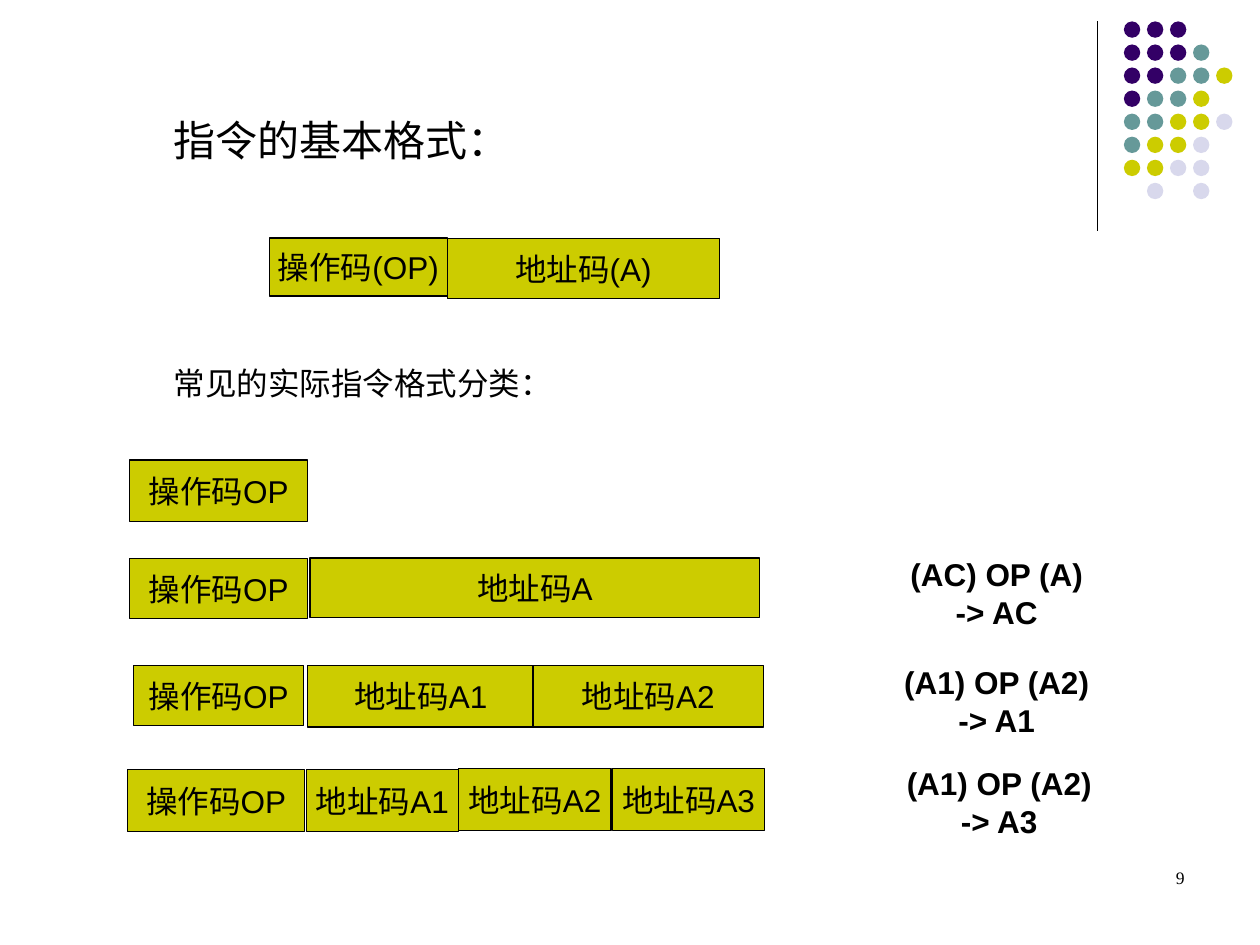
from pptx import Presentation
from pptx.dml.color import RGBColor
from pptx.enum import shapes, text
from pptx.oxml.ns import qn
from pptx.util import Inches, Pt
from lxml import etree

BLACK = RGBColor(0x00, 0x00, 0x00)
PURPLE = RGBColor(0x33, 0x00, 0x66)
TEAL = RGBColor(0x66, 0x99, 0x99)
OLIVE = RGBColor(0xCC, 0xCC, 0x00)
PALE = RGBColor(0xD8, 0xD8, 0xEC)

TONES = {"P": PURPLE, "T": TEAL, "O": OLIVE, "L": PALE}
DOTS = ["PPP", "PPPT", "PPTTO", "PTTO", "TTOOL", "TOOL", "OOLL", " L L"]
PITCH = 0.183

# Each row: cells of (text, left, top, width, height)
ROWS = [
    [("操作码(OP)", 2.14, 1.89, 1.41, 0.46), ("地址码(A)", 3.55, 1.89, 2.16, 0.48)],
    [("操作码OP", 1.03, 3.65, 1.41, 0.49)],
    [("操作码OP", 1.03, 4.43, 1.41, 0.48), ("地址码A", 2.46, 4.43, 3.57, 0.47)],
    [("操作码OP", 1.06, 5.28, 1.35, 0.48), ("地址码A1", 2.44, 5.28, 1.8, 0.49),
     ("地址码A2", 4.23, 5.28, 1.83, 0.49)],
    [("操作码OP", 1.01, 6.11, 1.41, 0.49), ("地址码A1", 2.43, 6.11, 1.21, 0.49),
     ("地址码A2", 3.64, 6.1, 1.21, 0.49), ("地址码A3", 4.86, 6.1, 1.21, 0.49)],
]
RULES = [
    ("(AC) OP (A) -> AC", 7, 4.52),
    ("(A1) OP (A2) -> A1", 7, 5.38),
    ("(A1) OP (A2) -> A3", 7.02, 6.18),
]


def write(shape, words, size=18, align=text.PP_ALIGN.LEFT, mid=False,
          wrap=False, bold=False, face="Arial"):
    frame = shape.text_frame
    frame.word_wrap = wrap
    frame.vertical_anchor = text.MSO_ANCHOR.MIDDLE if mid else text.MSO_ANCHOR.TOP
    para = frame.paragraphs[0]
    para.text = words
    para.alignment = align
    font = para.font
    font.size, font.name, font.bold = Pt(size), face, bold
    font.color.rgb = BLACK


def label(slide, words, x, y, w, h, **style):
    box = slide.shapes.add_textbox(Inches(x), Inches(y), Inches(w), Inches(h))
    write(box, words, **style)


def solid(slide, kind, x, y, w, h, fill):
    shape = slide.shapes.add_shape(kind, Inches(x), Inches(y), Inches(w), Inches(h))
    shape.shadow.inherit = False
    shape.fill.solid()
    shape.fill.fore_color.rgb = fill
    return shape


def cell(slide, words, x, y, w, h):
    box = solid(slide, shapes.MSO_SHAPE.RECTANGLE, x, y, w, h, OLIVE)
    box.line.color.rgb = BLACK
    box.line.width = Pt(0.75)
    write(box, words, align=text.PP_ALIGN.CENTER, mid=True)


def corner(slide):
    """Draw the vertical rule and the dot pattern at top right."""
    rule = slide.shapes.add_connector(
        shapes.MSO_CONNECTOR.STRAIGHT,
        Inches(8.71), Inches(0.17), Inches(8.71), Inches(1.83))
    rule.line.color.rgb = BLACK
    rule.line.width = Pt(0.75)
    etree.SubElement(rule._element.spPr, qn("a:effectLst"))
    for row, marks in enumerate(DOTS):
        for col, mark in enumerate(marks):
            if mark in TONES:
                dot = solid(slide, shapes.MSO_SHAPE.OVAL, 8.92 + col * PITCH,
                            0.17 + row * PITCH, 0.13, 0.13, TONES[mark])
                dot.line.fill.background()


def main():
    deck = Presentation()
    deck.slide_width, deck.slide_height = Inches(10), Inches(7.5)
    slide = deck.slides.add_slide(deck.slide_layouts[6])
    corner(slide)
    label(slide, "指令的基本格式：", 1.28, 0.86, 2.86, 0.5, size=24)
    label(slide, "常见的实际指令格式分类：", 1.28, 2.84, 3.2, 0.4)
    for row in ROWS:
        for item in row:
            cell(slide, *item)
    for words, x, y in RULES:
        label(slide, words, x, y, 1.82, 0.37, align=text.PP_ALIGN.CENTER,
              mid=True, bold=True)
    label(slide, "9", 7.17, 6.83, 2.33, 0.5, size=10, wrap=True,
          align=text.PP_ALIGN.RIGHT, face="Times New Roman")
    deck.save("out.pptx")


if __name__ == "__main__":
    main()
